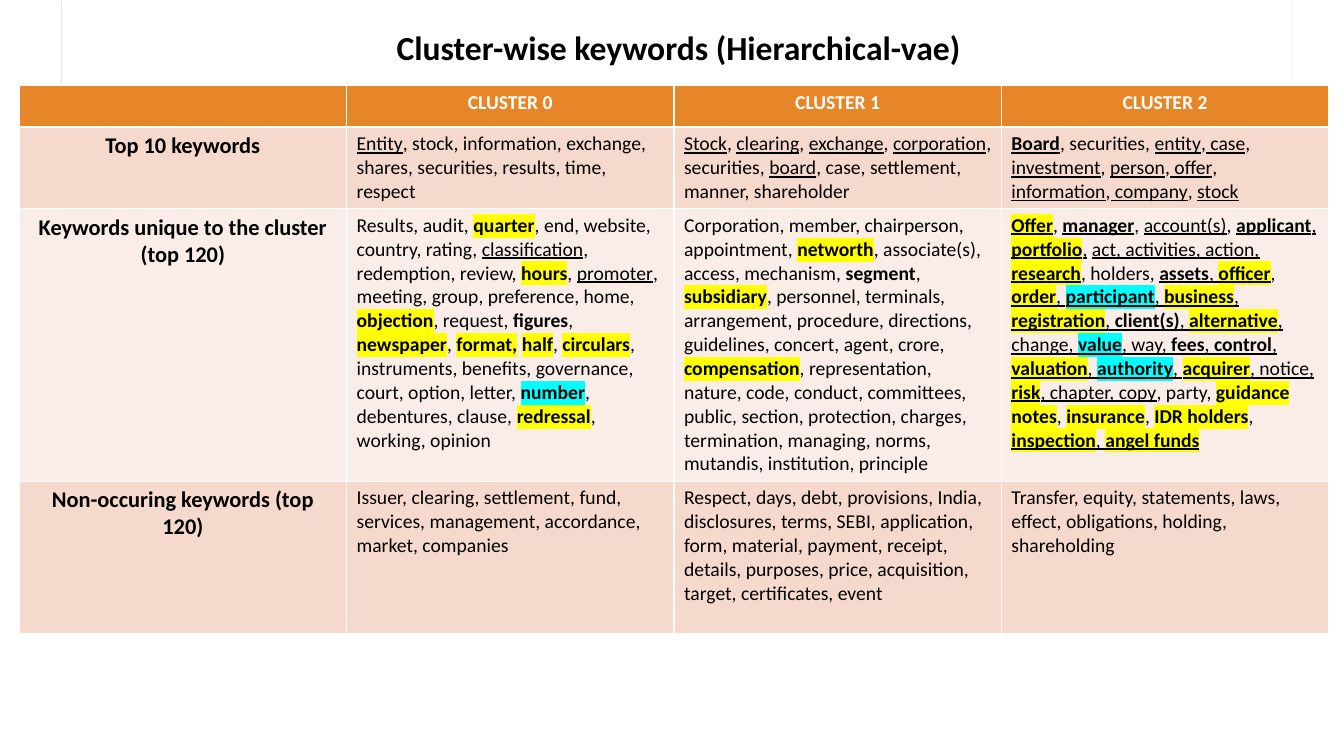
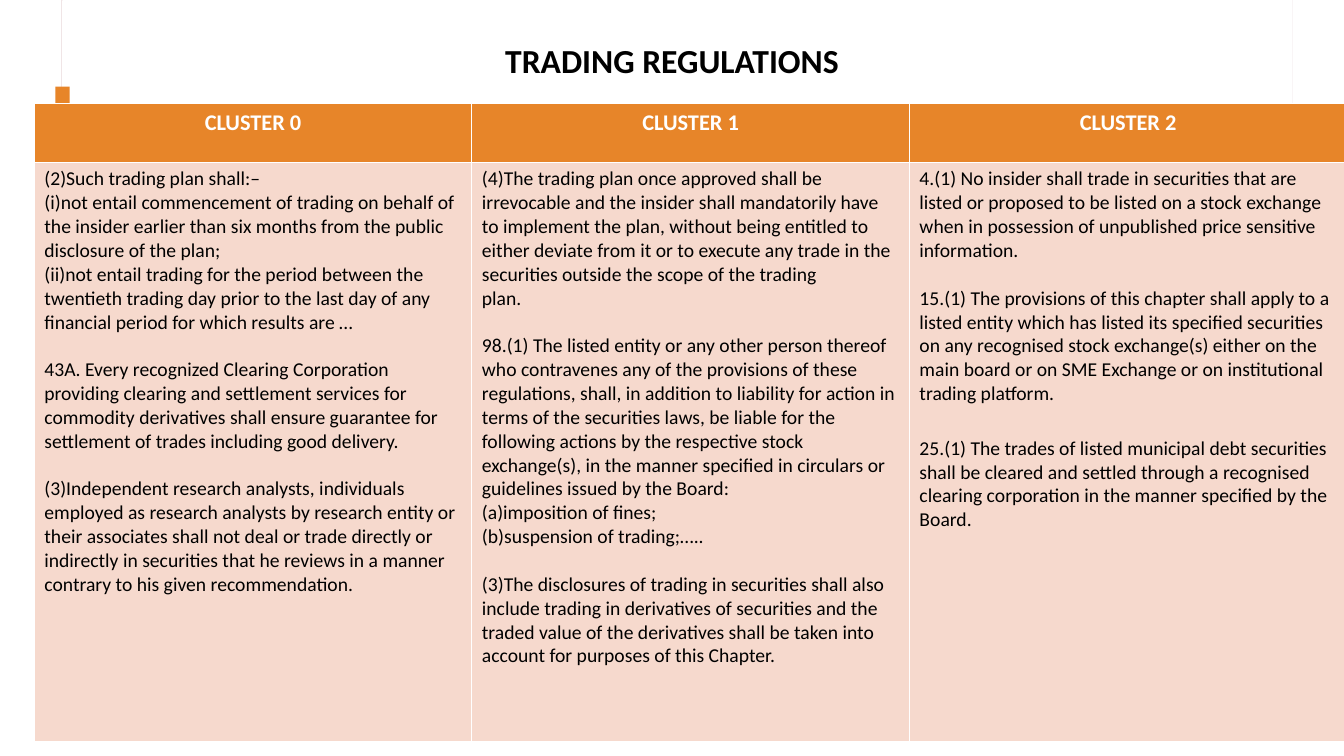
"""Build two slides of cluster keyword and regulation tables."""
from dataclasses import dataclass
from typing import Iterator

from lxml.etree import SubElement
from pptx import Presentation
from pptx.dml.color import RGBColor
from pptx.enum.shapes import MSO_SHAPE
from pptx.enum.text import MSO_ANCHOR, PP_ALIGN
from pptx.oxml.ns import qn
from pptx.util import Inches, Pt

FONT = "Calibri"
WHITE, BLACK, ORANGE = "FFFFFF", "000000", "E78529"
ROSE, PALE_ROSE, FRAME = "F6D9CD", "FAEDE8", "F0E5E6"
HIGHLIGHTS = {"y": "FFFF00", "c": "00FFFF"}
BODY_SIZE = 14


@dataclass(frozen=True)
class Box:
    """A rectangle in inches."""
    left: float
    top: float
    width: float
    height: float

    def lengths(self) -> tuple:
        """Return the four lengths in drawing units."""
        return tuple(Inches(n) for n in (self.left, self.top, self.width, self.height))


@dataclass(frozen=True)
class Band:
    """A rectangle shared by every slide."""
    box: Box
    fill: str
    line: str = ""


@dataclass(frozen=True)
class Para:
    """A paragraph; {codes|words} marks bold, underline, yellow or cyan words."""
    text: str
    gap: float = 0
    size: float = BODY_SIZE
    color: str = BLACK
    bold: bool = False
    centered: bool = False


@dataclass(frozen=True)
class Row:
    """A table row with its height, fill and cells of paragraphs."""
    height: float
    fill: str
    cells: list[list[Para]]


@dataclass(frozen=True)
class Page:
    """A titled slide with one table."""
    title: str
    title_box: Box
    table_box: Box
    rows: list[Row]


BANDS = [
    Band(Box(0.61, 0, 12.21, 2.21), WHITE, FRAME),
    Band(Box(0.62, 0, 12.2, 2.2), WHITE),
    Band(Box(0.55, 0.86, 0.14, 0.77), ORANGE),
]


def color(value: str) -> RGBColor:
    """Turn a hex string into a colour."""
    return RGBColor.from_string(value)


def header(height: float, size: float, names: list[str]) -> Row:
    """Describe the orange heading row."""
    return Row(height, ORANGE, [
        [Para(name, size=size, color=WHITE, bold=True, centered=True)] for name in names])


def keyword_row(height: float, fill: str, label: str, texts: list[str]) -> Row:
    """Describe a row with a bold label and keyword lists."""
    heading = Para(label, size=16, bold=True, centered=True)
    return Row(height, fill, [[heading], *([Para(text)] for text in texts)])


def spans(text: str) -> Iterator[tuple[str, str]]:
    """Split marked text into codes and words."""
    for chunk in text.split("{"):
        marked, closed, plain = chunk.partition("}")
        if closed:
            codes, _, words = marked.partition("|")
            yield codes, words
        else:
            plain = chunk
        if plain:
            yield "", plain


def write_para(paragraph, para: Para) -> None:
    """Write one paragraph with its marked words."""
    font = paragraph.font
    font.name, font.size, font.bold = FONT, Pt(para.size), para.bold
    font.color.rgb = color(para.color)
    paragraph.space_before = Pt(para.gap)
    paragraph.alignment = PP_ALIGN.CENTER if para.centered else PP_ALIGN.LEFT
    if "{" not in para.text:
        paragraph.text = para.text
        return
    for codes, words in spans(para.text):
        span = paragraph.add_run()
        span.text = words
        if "u" in codes:
            span.font.underline = True
        if set(codes) & set("byc"):
            span.font.bold = True
        for code in set(codes) & set(HIGHLIGHTS):
            highlight = SubElement(span.font._element, qn("a:highlight"))
            SubElement(highlight, qn("a:srgbClr")).set("val", HIGHLIGHTS[code])


def draw_table(slide, box: Box, rows: list[Row]) -> None:
    """Draw a table with equal columns."""
    count = len(rows[0].cells)
    table = slide.shapes.add_table(len(rows), count, *box.lengths()).table
    table.horz_banding = False
    for column in table.columns:
        column.width = Inches(box.width / count)
    for i, row in enumerate(rows):
        table.rows[i].height = Inches(row.height)
        for j, paras in enumerate(row.cells):
            cell = table.cell(i, j)
            cell.fill.solid()
            cell.fill.fore_color.rgb = color(row.fill)
            frame = cell.text_frame
            for k, para in enumerate(paras):
                write_para(frame.add_paragraph() if k else frame.paragraphs[0], para)


def add_bands(slide, layout) -> None:
    """Draw the shared bands and move them behind the layout's placeholders."""
    for i, band in enumerate(BANDS):
        shape = slide.shapes.add_shape(MSO_SHAPE.RECTANGLE, *band.box.lengths())
        shape.shadow.inherit = False
        shape.fill.solid()
        shape.fill.fore_color.rgb = color(band.fill)
        if band.line:
            shape.line.color.rgb = color(band.line)
            shape.line.width = Pt(0.75)
        else:
            shape.line.fill.background()
        shape.element.xpath("./p:nvSpPr/p:cNvPr")[0].set("id", str(100 + i))
        layout.shapes.element.insert(2 + i, shape.element)


def draw_page(slide, page: Page) -> None:
    """Draw the title and table of one slide."""
    title = slide.shapes.title
    title.left, title.top, title.width, title.height = page.title_box.lengths()
    frame = title.text_frame
    frame.vertical_anchor = MSO_ANCHOR.MIDDLE
    paragraph = frame.paragraphs[0]
    write_para(paragraph, Para(page.title, size=24, bold=True, centered=True))
    paragraph.line_spacing = 0.9
    draw_table(slide, page.table_box, page.rows)


CLUSTERS = [f"CLUSTER {number}" for number in range(3)]
LINE_GAP = 17

KEYWORDS = Page(
    "Cluster-wise keywords (Hierarchical-vae)",
    Box(1.17, 0.08, 11.12, 0.83), Box(0.19, 0.85, 12.99, 5.43),
    [
        header(0.41, 14, ["", *CLUSTERS]),
        keyword_row(0.81, ROSE, "Top 10 keywords", [
            "{u|Entity}, stock, information, exchange, shares, securities, results, time, "
            "respect",
            "{u|Stock}, {u|clearing}, {u|exchange}, {u|corporation}, securities, {u|board}, "
            "case, settlement, manner, shareholder",
            "{bu|Board}, securities, {u|entity},{u| case}, {u|investment}, {u|person},"
            "{u| offer}, {u|information},{u| company}, {u|stock}",
        ]),
        keyword_row(2.7, PALE_ROSE, "Keywords unique to the cluster (top 120)", [
            "Results, audit, {y|quarter}, end, website, country, rating, {u|classification}, "
            "redemption, review, {y|hours}, {u|promoter}, meeting, group, preference, home, "
            "{y|objection}, request, {b|figures}, {y|newspaper}, {y|format,} {y|half}, "
            "{y|circulars}, instruments, benefits, governance, court, option, letter, "
            "{c|number}, debentures, clause, {y|redressal}, working, opinion",
            "Corporation, member, chairperson, appointment, {y|networth}, associate(s), "
            "access, mechanism, {b|segment}, {y|subsidiary}, personnel, terminals, "
            "arrangement, procedure, directions, guidelines, concert, agent, crore, "
            "{y|compensation}, representation, nature, code, conduct, committees, public, "
            "section, protection, charges, termination, managing, norms, mutandis, "
            "institution, principle",
            "{yu|Offer}, {bu|manager}, {u|account(s)}, {bu|applicant}{u|,} "
            "{yu|portfolio}{u|,} {u|act, activities, action, }{yu|research}, holders, "
            "{bu|assets}{u|, }{yu|officer}, {yu|order}{u|, }{cu|participant}{u|, }"
            "{yu|business}{u|, }{yu|registration}{u|, }{bu|client(s)}{u|, }"
            "{yu|alternative}{u|, change, }{cu|value}{u|, way, }{bu|fees}{u|, }"
            "{bu|control}{u|, }{yu|valuation}{u|, }{cu|authority}{u|, }{yu|acquirer}"
            "{u|, notice, }{yu|risk}{u|, chapter, copy}, party, {y|guidance notes}, "
            "{y|insurance}, {y|IDR holders}, {yu|inspection}{u|, }{yu|angel funds}",
        ]),
        keyword_row(1.51, ROSE, "Non-occuring keywords (top 120)", [
            "Issuer, clearing, settlement, fund, services, management, accordance, market, "
            "companies",
            "Respect, days, debt, provisions, India, disclosures, terms, SEBI, application, "
            "form, material, payment, receipt, details, purposes, price, acquisition, target, "
            "certificates, event",
            "Transfer, equity, statements, laws, effect, obligations, holding, shareholding",
        ]),
    ],
)

REGULATIONS = Page(
    "TRADING REGULATIONS",
    Box(1.12, 0.18, 11.09, 0.89), Box(0.34, 1.03, 13.02, 6.33),
    [
        header(0.58, 16, CLUSTERS),
        Row(5.75, ROSE, [
            [
                Para("(2)Such trading plan shall:–"),
                Para("(i)not entail commencement of trading on behalf of the insider earlier "
                     "than six months from the public disclosure of the plan;"),
                Para("(ii)not entail trading for the period between the twentieth trading day "
                     "prior to the last day of any financial period for which results are …"),
                Para("43A. Every recognized Clearing Corporation providing clearing and "
                     "settlement services for commodity derivatives shall ensure guarantee "
                     "for settlement of trades including good delivery.", LINE_GAP),
                Para("(3)Independent research analysts, individuals employed as research "
                     "analysts by research entity or their associates shall not deal or trade "
                     "directly or indirectly in securities that he reviews in a manner "
                     "contrary to his given recommendation.", LINE_GAP),
            ],
            [
                Para("(4)The trading plan once approved shall be irrevocable and the insider "
                     "shall mandatorily have to implement the plan, without being entitled to "
                     "either deviate from it or to execute any trade in the securities "
                     "outside the scope of the trading\vplan."),
                Para("98.(1) The listed entity or any other person thereof who contravenes "
                     "any of the provisions of these regulations, shall, in addition to "
                     "liability for action in terms of the securities laws, be liable for the "
                     "following actions by the respective stock exchange(s), in the manner "
                     "specified in circulars or guidelines issued by the Board:", LINE_GAP),
                Para("(a)imposition of fines;"),
                Para("(b)suspension of trading;….."),
                Para("(3)The disclosures of trading in securities shall also include trading "
                     "in derivatives of securities and the traded value of the derivatives "
                     "shall be taken into account for purposes of this Chapter.", LINE_GAP),
            ],
            [
                Para("4.(1) No insider shall trade in securities that are listed or proposed "
                     "to be listed on a stock exchange when in possession of unpublished "
                     "price sensitive information."),
                Para("15.(1) The provisions of this chapter shall apply to a listed entity "
                     "which has listed its specified securities on any recognised stock "
                     "exchange(s) either on the main board or on SME Exchange or on "
                     "institutional trading platform.", LINE_GAP),
                Para("25.(1) The trades of listed municipal debt securities shall be cleared "
                     "and settled through a recognised clearing corporation in the manner "
                     "specified by the Board.", 22),
            ],
        ]),
    ],
)


def main() -> None:
    """Build and save the deck."""
    deck = Presentation()
    deck.slide_width, deck.slide_height = Inches(13.33), Inches(7.5)
    layout = deck.slide_layouts.get_by_name("Title Only")
    slides = [deck.slides.add_slide(layout) for _ in range(2)]
    add_bands(slides[0], layout)
    for slide, page in zip(slides, (KEYWORDS, REGULATIONS)):
        draw_page(slide, page)
    deck.save("out.pptx")


main()
